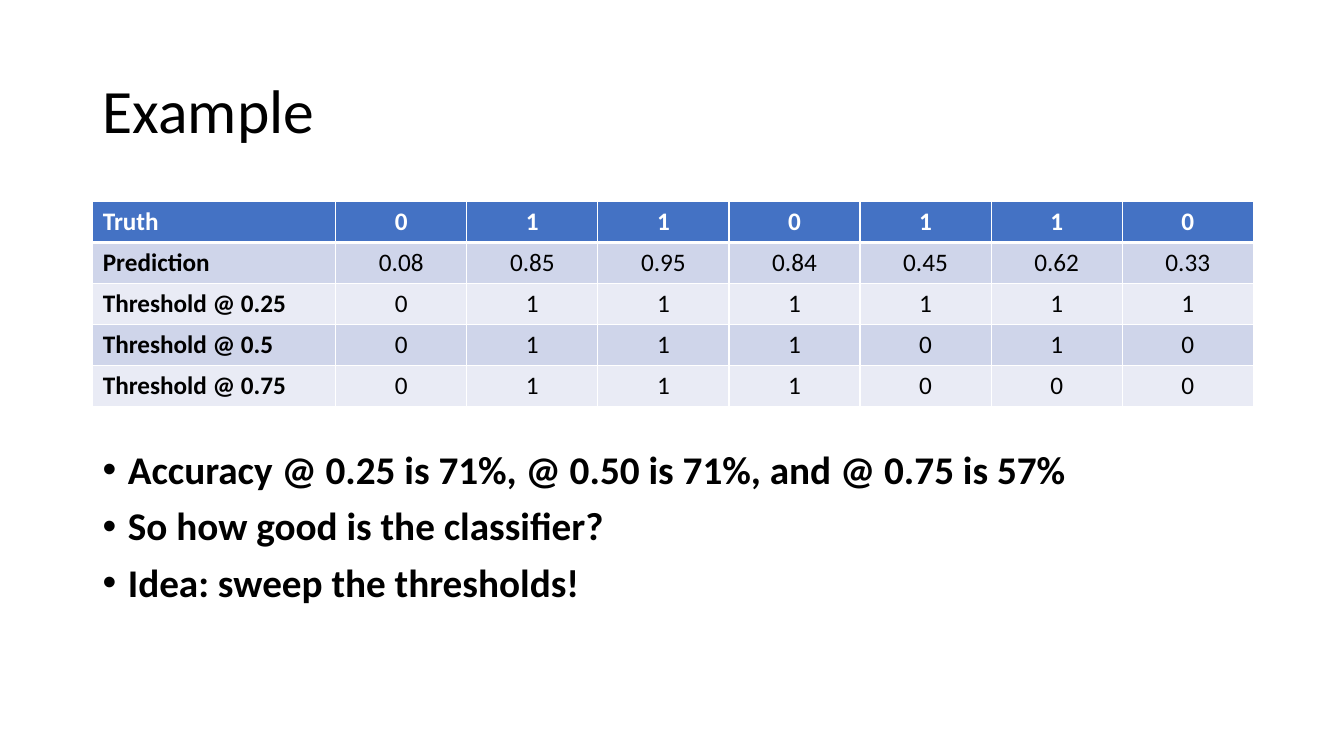
from lxml.etree import SubElement
from pptx import Presentation
from pptx.dml.color import RGBColor
from pptx.enum.text import MSO_ANCHOR, PP_ALIGN
from pptx.oxml.ns import qn
from pptx.util import Pt

SCALE = 9144
FONT = "Calibri"
BLACK, WHITE, BLUE = "000000", "FFFFFF", "4472C4"
BANDS = ["CFD5EA", "E9EBF5"]
LEFT, WIDTH = 92, 1150
ROWS = [
    ["Truth", "0", "1", "1", "0", "1", "1", "0"],
    ["Prediction", "0.08", "0.85", "0.95", "0.84", "0.45", "0.62", "0.33"],
    ["Threshold @ 0.25", "0", "1", "1", "1", "1", "1", "1"],
    ["Threshold @ 0.5", "0", "1", "1", "1", "0", "1", "0"],
    ["Threshold @ 0.75", "0", "1", "1", "1", "0", "0", "0"],
]
POINTS = [
    "Accuracy @ 0.25 is 71%, @ 0.50 is 71%, and @ 0.75 is 57%",
    "So how good is the classifier?",
    "Idea: sweep the thresholds!",
]


def px(count):
    return count * SCALE


def color(code):
    return RGBColor.from_string(code)


def add_run(para, text, size, code=BLACK, bold=False):
    run = para.add_run()
    run.text = text
    font = run.font
    font.name, font.size, font.bold = FONT, Pt(size), bold
    font.color.rgb = color(code)


def add_box(slide, top, height, anchor):
    box = slide.shapes.add_textbox(px(LEFT), px(top), px(WIDTH), px(height))
    frame = box.text_frame
    frame.word_wrap = True
    frame.vertical_anchor = anchor
    return frame


def add_title(slide, text):
    para = add_box(slide, 40, 145, MSO_ANCHOR.MIDDLE).paragraphs[0]
    para.line_spacing = 0.9
    add_run(para, text, 44)


def add_list(slide, points):
    frame = add_box(slide, 442, 234, MSO_ANCHOR.TOP)
    for index, text in enumerate(points):
        para = frame.add_paragraph() if index else frame.paragraphs[0]
        para.line_spacing = 0.9
        para.space_before = Pt(10)
        props = para._p.get_or_add_pPr()
        props.set("marL", str(px(25)))
        props.set("indent", str(px(-25)))
        SubElement(props, qn("a:buFont"), typeface="Arial")
        SubElement(props, qn("a:buChar"), char="•")
        add_run(para, text, 28, bold=True)


def add_edges(cell, widths):
    props = cell._tc.get_or_add_tcPr()
    for side, width in widths.items():
        line = SubElement(props, qn(f"a:ln{side}"), w=str(Pt(width)))
        fill = SubElement(line, qn("a:solidFill"))
        SubElement(fill, qn("a:srgbClr"), val=WHITE)


def add_grid(slide, rows):
    high = 203
    frame = slide.shapes.add_table(
        len(rows), len(rows[0]), px(LEFT), px(200), px(WIDTH), px(high))
    table = frame.table
    for index, col in enumerate(table.columns):
        col.width = px(130 if index else 241)
    for r, row in enumerate(rows):
        table.rows[r].height = px(high) // len(rows)
        for c, text in enumerate(row):
            cell = table.cell(r, c)
            add_edges(cell, {"L": 1, "R": 1, "T": 3 if r == 1 else 1,
                             "B": 1 if r else 3})
            cell.fill.solid()
            cell.fill.fore_color.rgb = color(BANDS[(r - 1) % 2] if r else BLUE)
            para = cell.text_frame.paragraphs[0]
            para.alignment = PP_ALIGN.CENTER if c else PP_ALIGN.LEFT
            add_run(para, text, 18, BLACK if r else WHITE, r == 0 or c == 0)


def main():
    deck = Presentation()
    deck.slide_width, deck.slide_height = px(1333), px(750)
    slide = deck.slides.add_slide(deck.slide_layouts[6])
    add_title(slide, "Example")
    add_grid(slide, ROWS)
    add_list(slide, POINTS)
    deck.save("out.pptx")


if __name__ == "__main__":
    main()
